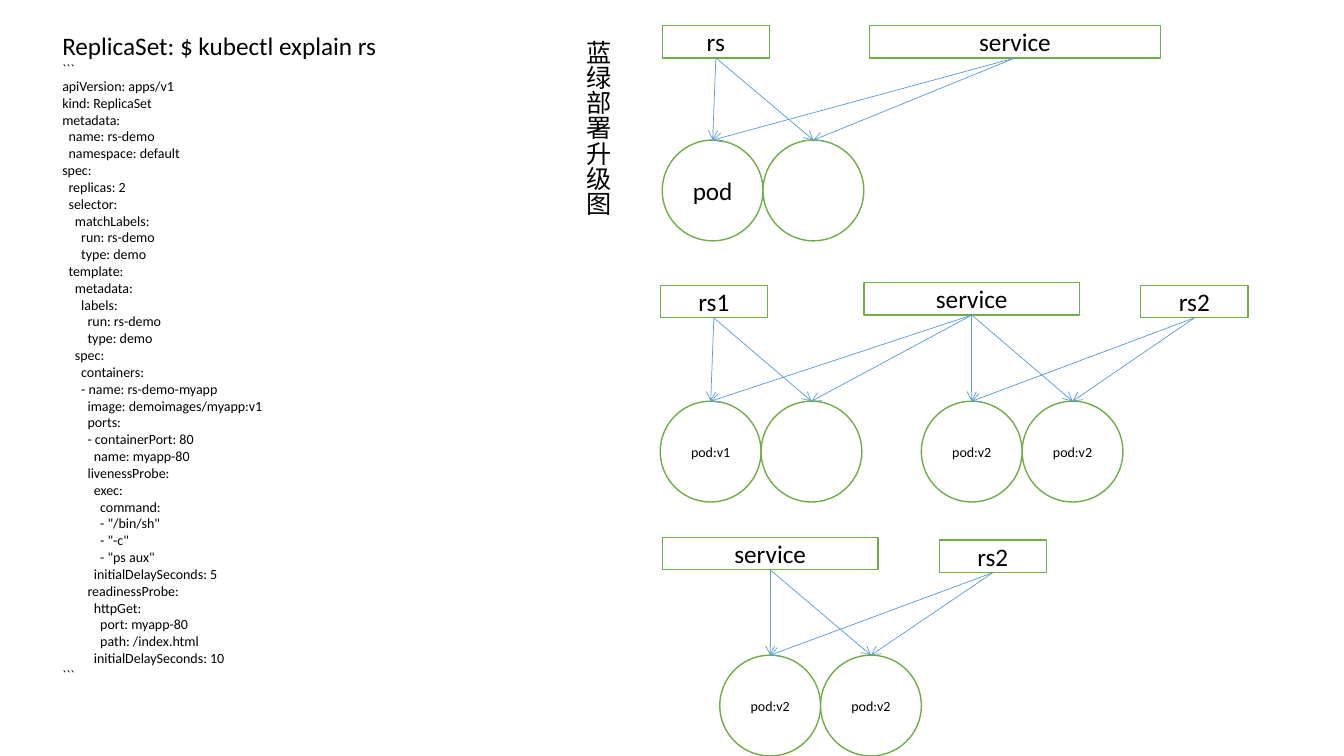
from lxml import etree
from pptx import Presentation, util as u
from pptx.dml.color import RGBColor
from pptx.enum import shapes, text
from pptx.oxml.ns import qn

TITLE = "ReplicaSet: $ kubectl explain rs"
YAML = '''```
apiVersion: apps/v1
kind: ReplicaSet
metadata:
  name: rs-demo
  namespace: default
spec:
  replicas: 2
  selector:
    matchLabels:
      run: rs-demo
      type: demo
  template:
    metadata:
      labels:
        run: rs-demo
        type: demo
    spec:
      containers:
      - name: rs-demo-myapp
        image: demoimages/myapp:v1
        ports:
        - containerPort: 80
          name: myapp-80
        livenessProbe:
          exec:
            command:
            - "/bin/sh"
            - "-c"
            - "ps aux"
          initialDelaySeconds: 5
        readinessProbe:
          httpGet:
            port: myapp-80
            path: /index.html
          initialDelaySeconds: 10
```'''


def color(code):
    return RGBColor.from_string(code)


def write(para, words, size=18, align=text.PP_ALIGN.LEFT, indent=0):
    para.alignment = align
    if indent:
        props = para._p.get_or_add_pPr()
        props.set("marL", str(u.Pt(indent)))
        props.set("indent", "0")
    run = para.add_run()
    run.text = words
    run.font.size = u.Pt(size)
    run.font.name = "Calibri"
    run.font.color.rgb = color("000000")


class Board:
    fill = "FFFFFF"
    edge = "70AD47"
    wire = "5B9BD5"
    high = 0.82
    pod = 2.54
    space = 2.26

    def __init__(self, slide):
        self.slide = slide

    def frame(self, x, y, w, h):
        box = self.slide.shapes.add_textbox(u.Cm(x), u.Cm(y), u.Cm(w), u.Cm(h))
        box.text_frame.word_wrap = True
        return box.text_frame

    def code(self, x, y, w, h, title, body):
        frame = self.frame(x, y, w, h)
        frame.auto_size = text.MSO_AUTO_SIZE.SHAPE_TO_FIT_TEXT
        write(frame.paragraphs[0], title)
        for line in body.splitlines():
            words = line.lstrip()
            depth = len(line) - len(words)
            write(frame.add_paragraph(), words, size=10, indent=depth * self.space)

    def upright(self, x, y, w, h, words):
        frame = self.frame(x, y, w, h)
        frame._txBody.bodyPr.set("vert", "eaVert")
        write(frame.paragraphs[0], words)

    def shape(self, kind, x, y, w, h, words, size):
        item = self.slide.shapes.add_shape(kind, u.Cm(x), u.Cm(y), u.Cm(w), u.Cm(h))
        item.shadow.inherit = False
        item.fill.solid()
        item.fill.fore_color.rgb = color(self.fill)
        item.line.color.rgb = color(self.edge)
        item.line.width = u.Pt(1)
        item.text_frame.vertical_anchor = text.MSO_ANCHOR.MIDDLE
        if words:
            write(item.text_frame.paragraphs[0], words, size, text.PP_ALIGN.CENTER)
        return item

    def label(self, x, y, words, w=2.7):
        return self.shape(shapes.MSO_SHAPE.RECTANGLE, x, y, w, self.high, words, 18)

    def pods(self, x, y, names, size=10):
        return [self.shape(shapes.MSO_SHAPE.OVAL, x + i * self.pod, y,
                           self.pod, self.pod, name, size)
                for i, name in enumerate(names)]

    def link(self, start, ends):
        for end in ends:
            line = self.slide.shapes.add_connector(
                shapes.MSO_CONNECTOR.STRAIGHT, 0, 0, 0, 0)
            line.begin_connect(start, 2)
            line.end_connect(end, 0)
            line.line.color.rgb = color(self.wire)
            line.line.width = u.Pt(0.5)
            tip = etree.SubElement(line.line._get_or_add_ln(), qn("a:tailEnd"))
            tip.set("type", "arrow")
            etree.SubElement(line._element.spPr, qn("a:effectLst"))


def main():
    deck = Presentation()
    deck.slide_width, deck.slide_height = u.Cm(33.87), u.Cm(19.05)
    board = Board(deck.slides.add_slide(deck.slide_layouts[6]))

    board.code(1.32, 0.64, 12.37, 16.84, TITLE, YAML)
    board.upright(14.3, 0.76, 1.27, 16.31, "蓝绿部署升级图")

    rs = board.label(16.69, 0.64, "rs")
    service = board.label(21.92, 0.64, "service", w=7.32)
    pods = board.pods(16.69, 3.53, ["pod", ""], size=18)
    board.link(rs, pods)
    board.link(service, pods)

    old = board.label(16.64, 7.19, "rs1")
    service = board.label(21.77, 7.12, "service", w=5.44)
    new = board.label(28.75, 7.19, "rs2")
    blue = board.pods(16.64, 10.11, ["pod:v1", ""])
    green = board.pods(23.22, 10.11, ["pod:v2"] * 2)
    board.link(old, blue)
    board.link(service, blue + green)
    board.link(new, green)

    service = board.label(16.69, 13.54, "service", w=5.44)
    new = board.label(23.67, 13.61, "rs2")
    pods = board.pods(18.14, 16.51, ["pod:v2"] * 2)
    board.link(service, pods)
    board.link(new, pods)

    deck.save("out.pptx")


if __name__ == "__main__":
    main()
